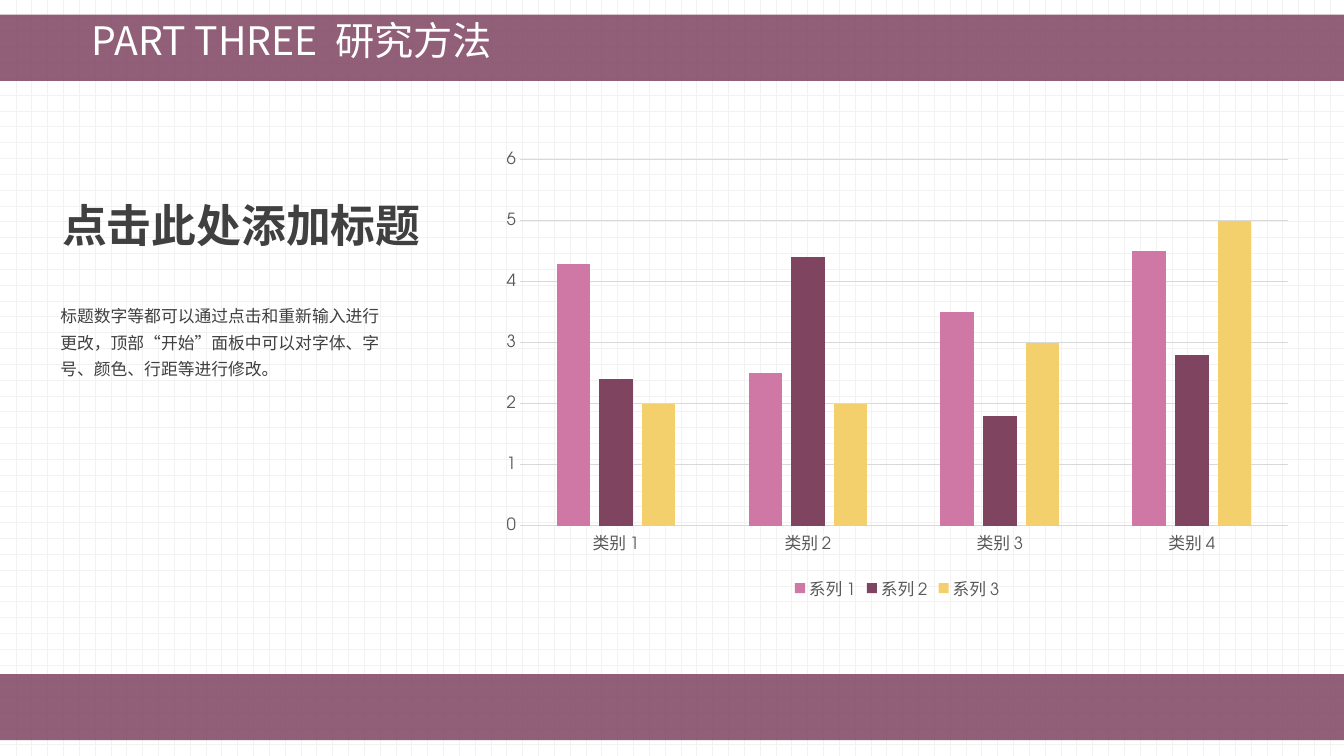
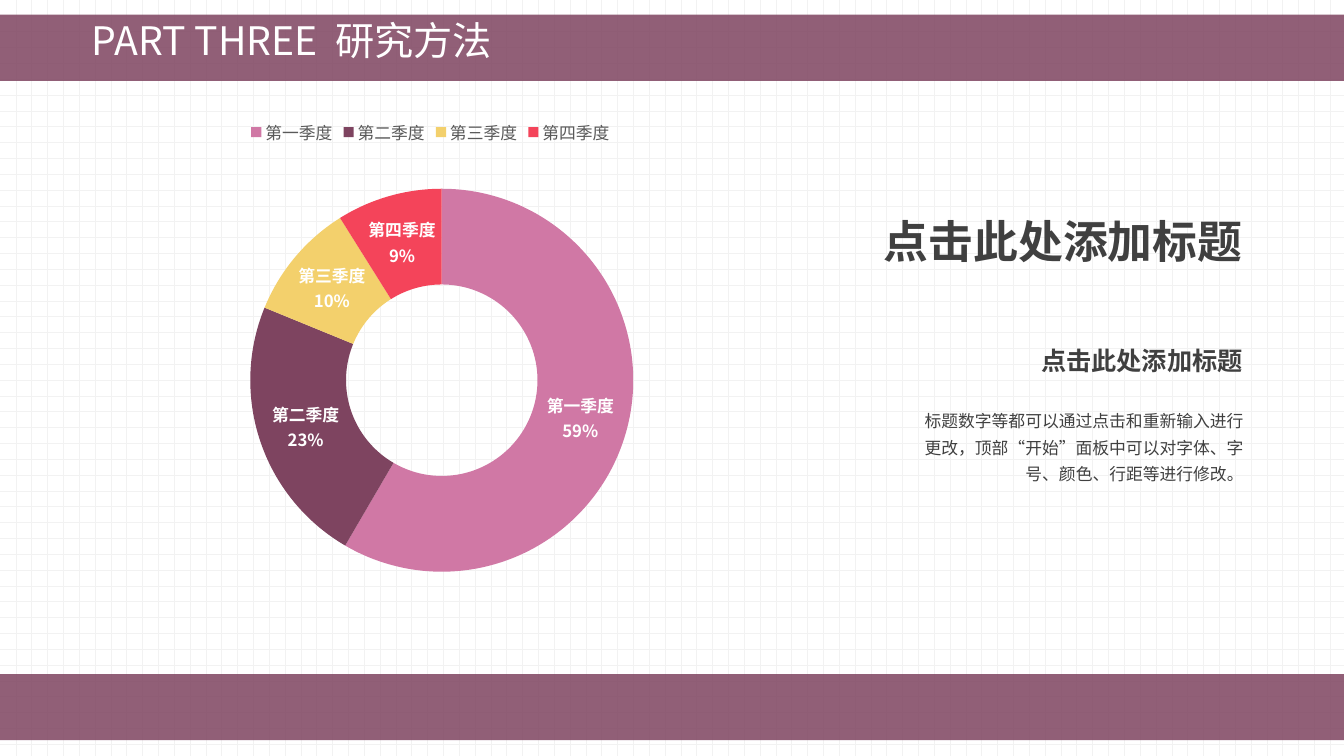
from lxml.etree import Element, SubElement
from pptx import Presentation
from pptx.chart.data import CategoryChartData
from pptx.dml.color import RGBColor
from pptx.enum.chart import XL_CHART_TYPE as ChartType
from pptx.enum.chart import XL_LEGEND_POSITION as LegendPosition
from pptx.enum.chart import XL_TICK_MARK as TickMark
from pptx.enum.dml import MSO_PATTERN as Pattern
from pptx.enum.shapes import MSO_SHAPE as Shape
from pptx.enum.text import MSO_ANCHOR as Anchor
from pptx.enum.text import MSO_AUTO_SIZE as AutoSize
from pptx.enum.text import PP_ALIGN as Align
from pptx.oxml.ns import qn
from pptx.util import Pt

PX = 9525
WIDTH, HEIGHT = 1280, 720
CJK, LATIN = "Noto Sans CJK SC", "TeX Gyre Adventor"
PLUM, WHITE, PALE, GRID = "7E4460", "FFFFFF", "F2F2F2", "D9D9D9"
TEXT, LABEL = "404040", "595959"
SERIES_COLORS = ["D078A5", PLUM, "F3D06C", "F4445A"]

HEADING = "点击此处添加标题"
BODY = "标题数字等都可以通过点击和重新输入进行更改，顶部“开始”面板中可以对字体、字号、颜色、行距等进行修改。"

rgb = RGBColor.from_string


def style_font(font, size, color, name, bold=False):
    font.size, font.bold, font.name = Pt(size), bold, name
    font.color.rgb = rgb(color)
    SubElement(font._rPr, qn("a:ea"), typeface=CJK)


def add_text(slide, box, text, size, align, name=CJK, bold=False, spacing=1.0, wrap=False):
    frame = slide.shapes.add_textbox(*[value * PX for value in box]).text_frame
    frame.word_wrap = wrap
    paragraph = frame.paragraphs[0]
    paragraph.text, paragraph.alignment = text, align
    paragraph.line_spacing = spacing
    style_font(paragraph.font, size, TEXT, name, bold)


presentation = Presentation()
presentation.slide_width, presentation.slide_height = WIDTH * PX, HEIGHT * PX
layout = presentation.slide_layouts[5]

# Dotted background on the master
background = presentation.slide_master.background.fill
background.patterned()
background.pattern = Pattern.DOTTED_GRID
background.fore_color.rgb, background.back_color.rgb = rgb(PALE), rgb(WHITE)

# Slides with the shared title
slides = [presentation.slides.add_slide(layout) for _ in range(2)]
for slide in slides:
    title = slide.shapes.title
    title.left, title.top, title.width, title.height = 78 * PX, 21 * PX, 511 * PX, 56 * PX
    frame = title.text_frame
    frame.text = "PART THREE  研究方法"
    frame.auto_size, frame.vertical_anchor, frame.margin_top = AutoSize.NONE, Anchor.TOP, 0
    paragraph = frame.paragraphs[0]
    paragraph.alignment, paragraph.line_spacing = Align.LEFT, 0.9
    style_font(paragraph.font, 28, WHITE, CJK)

# Translucent bands, moved to the layout
for number, top in enumerate((14, 642)):
    band = slides[0].shapes.add_shape(Shape.RECTANGLE, 0, top * PX, WIDTH * PX, 63 * PX)
    band.name = f"Band {number + 1}"
    band.shadow.inherit = False
    band.line.fill.background()
    band.fill.solid()
    band.fill.fore_color.rgb = rgb(PLUM)
    SubElement(band.element.find(".//" + qn("a:srgbClr")), qn("a:alpha"), val="85000")
    band.element.find(".//" + qn("p:cNvPr")).set("id", str(20 + number))
    layout.shapes.element.insert(2 + number, band.element)

# Texts
add_text(slides[0], (48, 184, 364, 61), HEADING, 32, Align.CENTER, LATIN, True)
add_text(slides[0], (48, 281, 338, 85), BODY, 12, Align.LEFT, spacing=1.3, wrap=True)
add_text(slides[1], (829, 199, 364, 61), HEADING, 32, Align.RIGHT, LATIN, True)
add_text(slides[1], (980, 324, 213, 38), HEADING, 18, Align.RIGHT, LATIN, True)
add_text(slides[1], (856, 381, 338, 85), BODY, 12, Align.RIGHT, spacing=1.3, wrap=True)

# Charts with their shared fonts and legends
column_data = CategoryChartData()
column_data.categories = [f"类别 {number}" for number in range(1, 5)]
column_data.add_series("系列 1", (4.3, 2.5, 3.5, 4.5))
column_data.add_series("系列 2", (2.4, 4.4, 1.8, 2.8))
column_data.add_series("系列 3", (2, 2, 3, 5))
ring_data = CategoryChartData()
ring_data.categories = ["第一季度", "第二季度", "第三季度", "第四季度"]
ring_data.add_series("Series 1", (59, 23, 10, 9))

charts = []
for slide, kind, box, data, font_name, position in (
    (slides[0], ChartType.COLUMN_CLUSTERED, (467, 136, 775, 440), column_data, LATIN, LegendPosition.BOTTOM),
    (slides[1], ChartType.DOUGHNUT, (49, 103, 722, 480), ring_data, CJK, LegendPosition.TOP),
):
    chart = slide.shapes.add_chart(kind, *[value * PX for value in box], data).chart
    chart.has_title = False
    style_font(chart.font, 10, "000000", font_name)
    chart.has_legend = True
    chart.legend.position, chart.legend.include_in_layout = position, False
    style_font(chart.legend.font, 12, LABEL, font_name)
    chart.plots[0].vary_by_categories = kind == ChartType.DOUGHNUT
    charts.append(chart)
column_chart, ring_chart = charts

# Column series and axes
plot = column_chart.plots[0]
plot.gap_width, plot.overlap = 219, -27
for series, color in zip(plot.series, SERIES_COLORS):
    series.format.fill.solid()
    series.format.fill.fore_color.rgb = rgb(color)
category_axis, value_axis = column_chart.category_axis, column_chart.value_axis
for axis in (category_axis, value_axis):
    axis.major_tick_mark = axis.minor_tick_mark = TickMark.NONE
    style_font(axis.tick_labels.font, 12, LABEL, LATIN)
value_axis.minimum_scale, value_axis.maximum_scale, value_axis.major_unit = 0, 6, 1
value_axis.format.line.fill.background()
for line in (category_axis.format.line, value_axis.major_gridlines.format.line):
    line.color.rgb, line.width = rgb(GRID), Pt(0.75)

# Ring segments and labels
series = ring_chart.plots[0].series[0]
for index, color in enumerate(SERIES_COLORS):
    segment = series.points[index].format
    segment.fill.solid()
    segment.fill.fore_color.rgb = rgb(color)
    segment.line.fill.background()
labels = series.data_labels
labels.show_value = labels.show_category_name = True
labels.number_format, labels.number_format_is_linked = '0"%"', False
style_font(labels.font, 12, WHITE, CJK, True)
separator = Element(qn("c:separator"))
separator.text = "\n"
series._element.find(qn("c:dLbls")).find(qn("c:showBubbleSize")).addnext(separator)

# Ring plot area
plot_area = ring_chart._chartSpace.find(".//" + qn("c:plotArea"))
for old_layout in plot_area.findall(qn("c:layout")):
    plot_area.remove(old_layout)
area_layout = Element(qn("c:layout"))
plot_area.insert(0, area_layout)
manual = SubElement(area_layout, qn("c:manualLayout"))
for tag, value in (
    ("layoutTarget", "inner"), ("xMode", "edge"), ("yMode", "edge"),
    ("x", "0.24"), ("y", "0.16"), ("w", "0.55"), ("h", "0.76"),
):
    SubElement(manual, qn("c:" + tag), val=value)

presentation.save("out.pptx")
